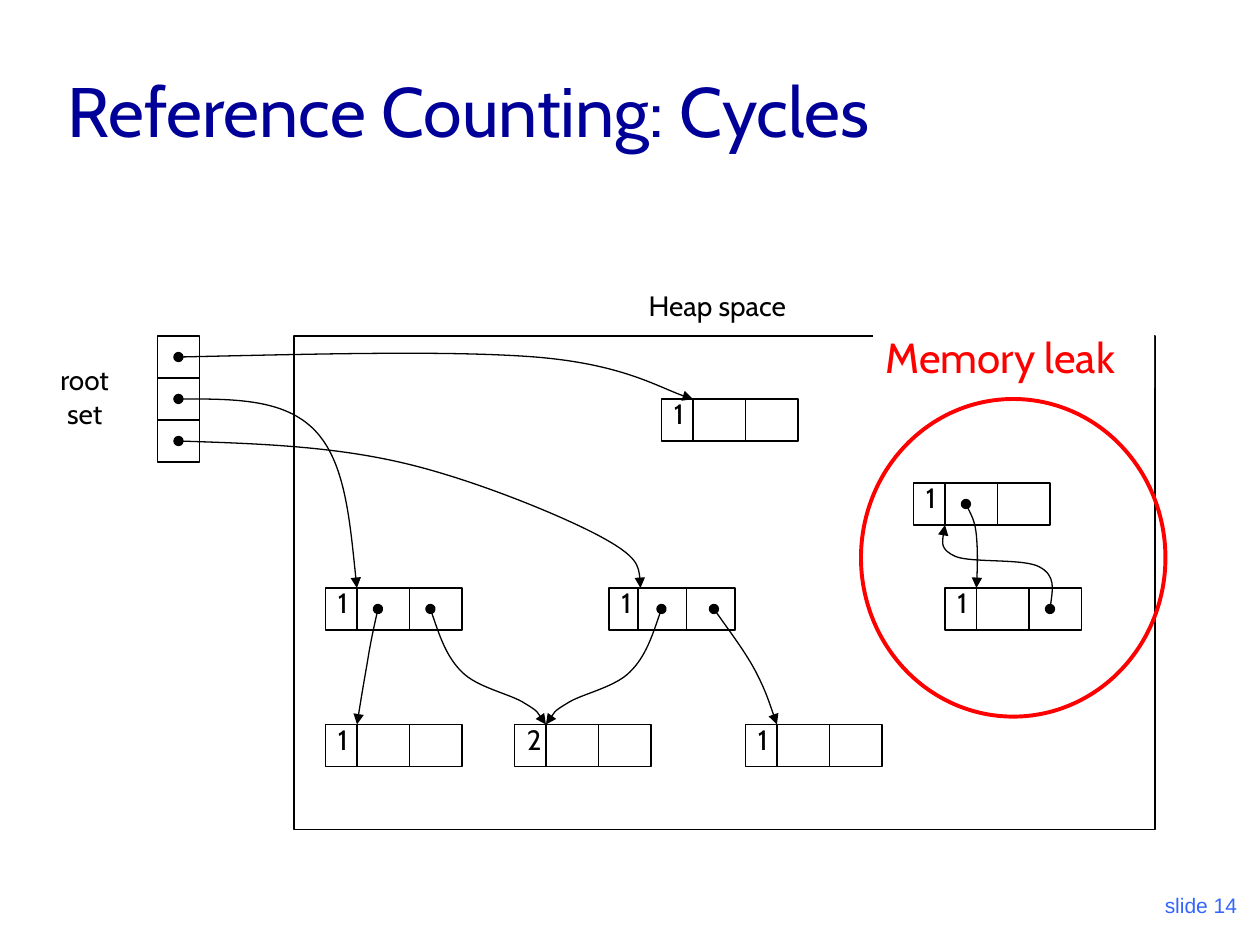
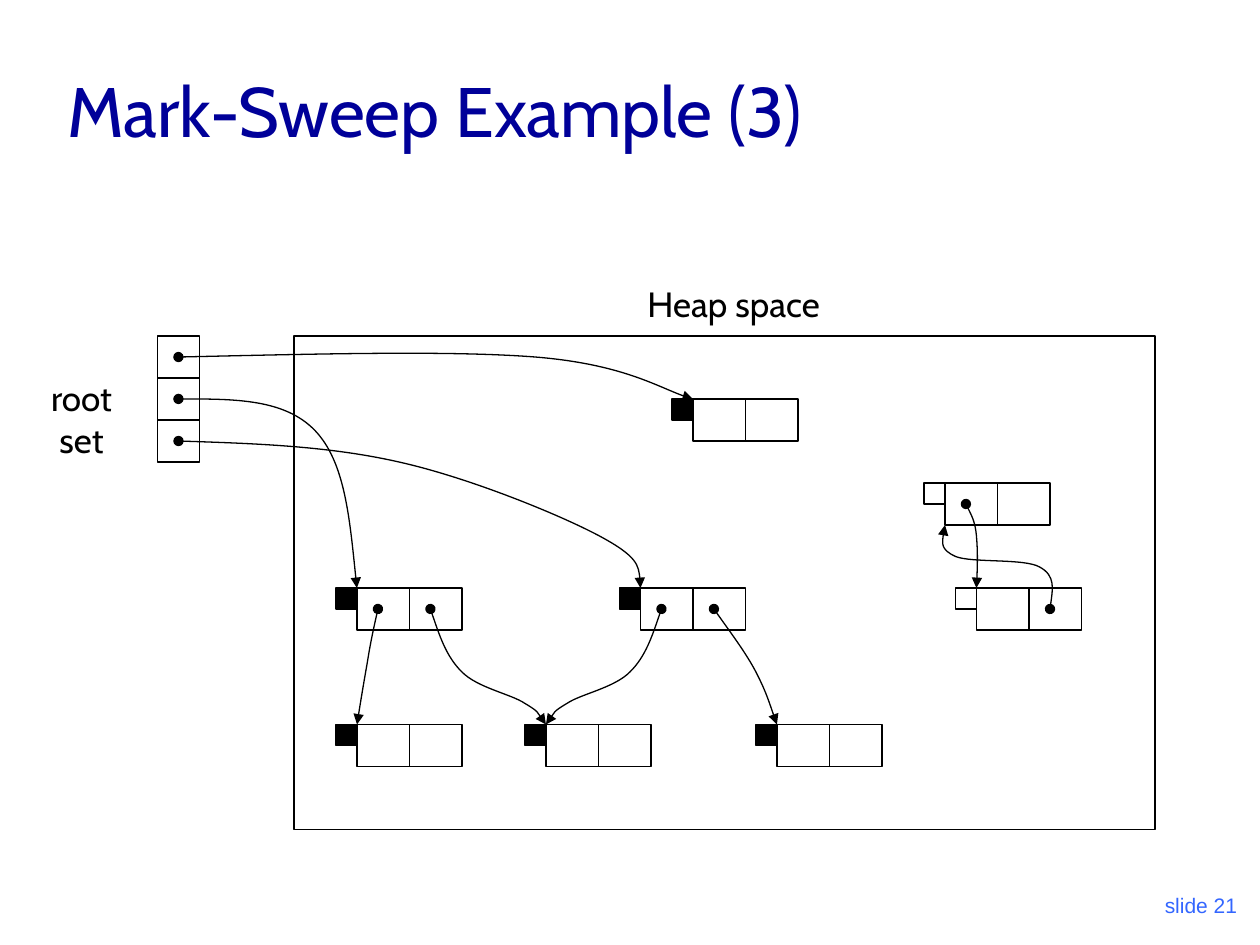
from lxml import etree
from pptx import Presentation, util as u
from pptx.dml.color import RGBColor
from pptx.enum import shapes, text
from pptx.oxml import ns


class Theme:
    black = RGBColor(0x00, 0x00, 0x00)
    white = RGBColor(0xFF, 0xFF, 0xFF)
    leak = RGBColor(0xFF, 0x00, 0x00)
    thin, thick = u.Pt(0.75), u.Pt(2.25)
    title = {"name": "Cabin", "size": u.Pt(40), "color": RGBColor(0x00, 0x00, 0x99)}
    footer = {"name": "Arial", "size": u.Pt(12), "color": RGBColor(0x33, 0x66, 0xFF)}
    small = {"name": "Cabin", "size": u.Pt(16), "color": black}
    large = {"name": "Cabin", "size": u.Pt(20), "color": black}
    warning = {"name": "Cabin", "size": u.Pt(24), "color": leak}


def draw(shape, fill=None, line=Theme.black, width=Theme.thin):
    """Give a shape or connector its line, its fill and no shadow."""
    if line is None:
        shape.line.fill.background()
    else:
        shape.line.color.rgb = line
        shape.line.width = width
    if hasattr(shape, "fill"):
        shape.shadow.inherit = False
        if fill is None:
            shape.fill.background()
        else:
            shape.fill.solid()
            shape.fill.fore_color.rgb = fill
    else:
        etree.SubElement(shape._element.spPr, ns.qn("a:effectLst"))
    return shape


def write(frame, lines, font, align=text.PP_ALIGN.LEFT, anchor=text.MSO_ANCHOR.TOP):
    """Fill a text frame, one paragraph for each line."""
    frame.word_wrap = True
    frame.vertical_anchor = anchor
    frame.text = "\n".join(lines)
    for paragraph in frame.paragraphs:
        paragraph.alignment = align
        for key, value in font.items():
            if key == "color":
                paragraph.font.color.rgb = value
            else:
                setattr(paragraph.font, key, value)


# Heap cells: corner that pointers aim at, reference count, marked by the sweep
cells = [
    (396, 228, "1", True),
    (204, 336, "1", True),
    (366, 336, "1", True),
    (204, 414, "1", True),
    (312, 414, "2", True),
    (444, 414, "1", True),
    (540, 276, "1", False),
    (558, 336, "1", False),
]
narrow_cell = (366, 336)

# Pointers: a start point, then three points for each Bezier segment
left_to_shared = [(246, 348), (250.6, 361.4), (254.9, 375.1), (264, 384),
                  (272.9, 393.1), (292.3, 396.7), (300, 402),
                  (308.2, 406.8), (310.3, 411.8), (312, 414)]
pointers = [
    [(102, 204), (179.3, 202.3), (257, 200.2), (306, 204),
     (355, 208), (380.9, 223.9), (396, 228)],
    [(102, 228), (132.5, 228), (162.7, 228), (180, 246),
     (197.3, 264), (200.2, 300), (204, 336)],
    [(102, 252), (144.7, 253.4), (187.9, 254.9), (228, 264),
     (267.8, 272.9), (319, 293.8), (342, 306),
     (365, 318.2), (366, 326.9), (366, 336)],
    [(216, 348), (213.8, 357.8), (211.7, 367.2), (210, 378),
     (208.1, 388.8), (205.9, 401.8), (204, 414)],
    left_to_shared,
    [(624 - x, y) for x, y in left_to_shared],
    [(408, 348), (416.9, 360.7), (426.2, 373), (432, 384),
     (437.8, 395.3), (440.6, 404.6), (444, 414)],
    [(552, 288), (554.4, 293), (557.3, 298.1), (558, 306),
     (558.7, 313.9), (558.7, 324.7), (558, 336)],
    [(600, 348), (601.2, 338.4), (603.4, 329), (594, 324),
     (585.4, 319), (555.1, 321.8), (546, 318),
     (537.1, 313.9), (538.6, 306.7), (540, 300)],
]

# Slides: heading, number, counted or marked cells, label font and label boxes
slides = [
    ("Reference Counting: Cycles", 14, True, Theme.small,
     (25.4, 203.8, 46, 46), (363.6, 161.3, 101, 27)),
    ("Mark-Sweep Example (3)", 21, False, Theme.large,
     (19.6, 211.7, 54, 55), (362.9, 157.7, 123, 32)),
]

RECT = shapes.MSO_SHAPE.RECTANGLE
STRAIGHT = shapes.MSO_CONNECTOR.STRAIGHT

deck = Presentation()
deck.slide_width, deck.slide_height = u.Pt(720), u.Pt(540)

for heading, number, counted, label_font, root_box, heap_box in slides:
    parts = deck.slides.add_slide(deck.slide_layouts[6]).shapes

    # Title and slide number
    title = parts.add_textbox(u.Pt(31.5), u.Pt(18), u.Pt(612), u.Pt(72))
    write(title.text_frame, [heading], Theme.title, anchor=text.MSO_ANCHOR.BOTTOM)
    footer = parts.add_textbox(u.Pt(564), u.Pt(492), u.Pt(150), u.Pt(36))
    write(footer.text_frame, [f"slide {number}"], Theme.footer,
          text.PP_ALIGN.RIGHT, text.MSO_ANCHOR.BOTTOM)

    # Heap and root set with their labels
    for box in [(168, 192, 492, 282), (90, 192, 24, 72)]:
        draw(parts.add_shape(RECT, *map(u.Pt, box)))
    dividers = [(90, y, 114, y) for y in (216, 240, 264)]
    root_label = parts.add_textbox(*map(u.Pt, root_box))
    write(root_label.text_frame, ["root", "set"], label_font, text.PP_ALIGN.CENTER)
    heap_label = parts.add_textbox(*map(u.Pt, heap_box))
    write(heap_label.text_frame, ["Heap space"], label_font)

    # Cells with a count field, or with a mark box beside them
    for x, y, count, marked in cells:
        if counted:
            left, width = x - 18, 72 if (x, y) == narrow_cell else 78
            fields = [left + width * part / 78 for part in (18, 48)]
            counter = parts.add_textbox(u.Pt(left), u.Pt(y - 4.7), u.Pt(23), u.Pt(27))
            write(counter.text_frame, [count], Theme.small)
        else:
            left, width, fields = x, 60, [x + 30]
            mark = parts.add_shape(RECT, u.Pt(x - 12), u.Pt(y), u.Pt(12), u.Pt(12))
            draw(mark, fill=Theme.black if marked else None)
        draw(parts.add_shape(RECT, u.Pt(left), u.Pt(y), u.Pt(width), u.Pt(24)))
        dividers += [(field, y, field, y + 24) for field in fields]

    for ends in dividers:
        draw(parts.add_connector(STRAIGHT, *map(u.Pt, ends)))

    # Pointers: every three line steps become one cubic curve
    for points in pointers:
        start, *rest = [(u.Pt(x), u.Pt(y)) for x, y in points]
        outline = parts.build_freeform(*start)
        outline.add_line_segments(rest, close=False)
        pointer = draw(outline.convert_to_shape())
        steps = list(pointer._element.iter(ns.qn("a:lnTo")))
        path = steps[0].getparent()
        for first in range(0, len(steps), 3):
            curve = etree.SubElement(path, ns.qn("a:cubicBezTo"))
            for step in steps[first:first + 3]:
                curve.append(step[0])
                path.remove(step)
        for end, style in [("a:headEnd", "oval"), ("a:tailEnd", "triangle")]:
            etree.SubElement(pointer.line._ln, ns.qn(end), type=style)

    # Unreachable cycle, circled
    if counted:
        circle = parts.add_shape(shapes.MSO_SHAPE.OVAL, u.Pt(492), u.Pt(228),
                                 u.Pt(174), u.Pt(181.5))
        draw(circle, line=Theme.leak, width=Theme.thick)
        warning = parts.add_shape(RECT, u.Pt(499), u.Pt(186), u.Pt(160.5), u.Pt(36))
        draw(warning, fill=Theme.white, line=None)
        write(warning.text_frame, ["Memory leak"], Theme.warning)

deck.save("out.pptx")
